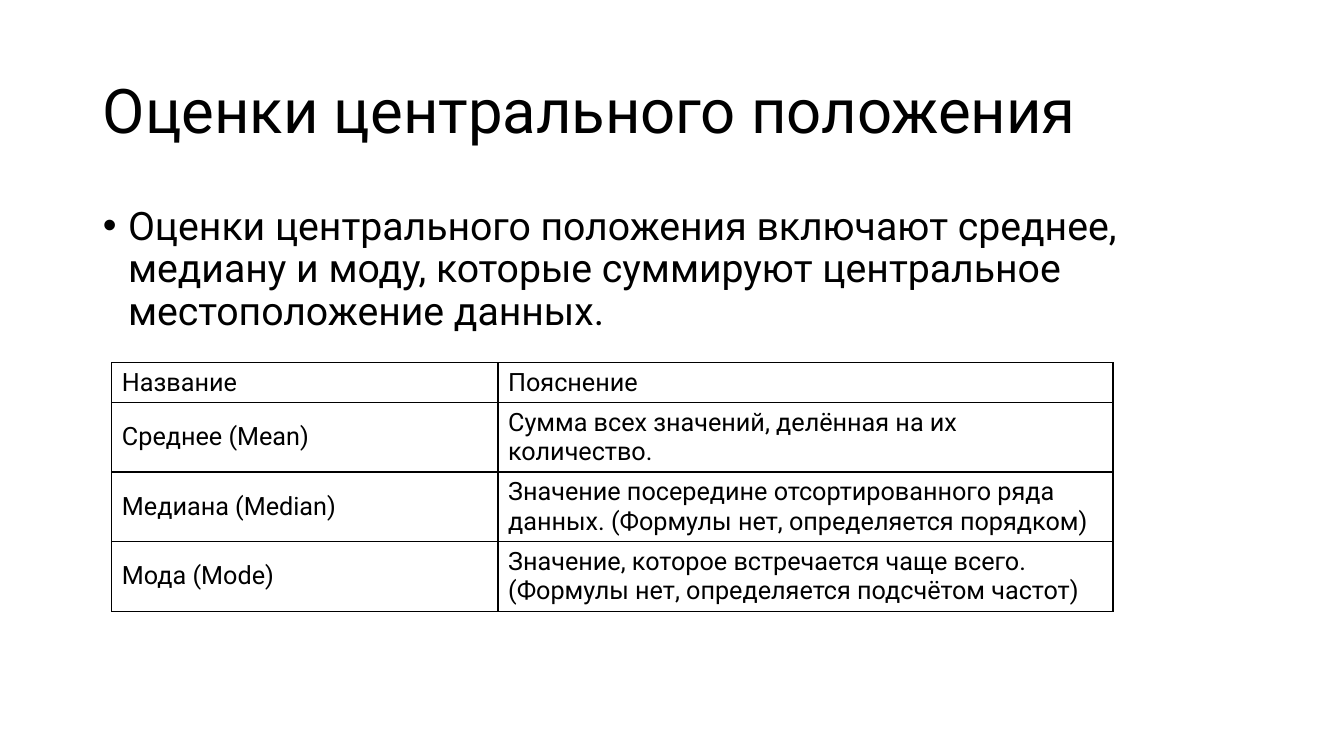
from dataclasses import dataclass

from lxml import etree
from pptx import Presentation
from pptx.dml.color import RGBColor
from pptx.enum.text import MSO_ANCHOR, MSO_AUTO_SIZE, PP_ALIGN
from pptx.oxml.ns import qn
from pptx.util import Inches, Pt

LEFT = PP_ALIGN.LEFT
TOP, MIDDLE = MSO_ANCHOR.TOP, MSO_ANCHOR.MIDDLE
NO_AUTOFIT = MSO_AUTO_SIZE.NONE

HEADING = "Оценки центрального положения"
SUMMARY = (
    "Оценки центрального положения включают среднее, медиану и моду, "
    "которые суммируют центральное местоположение данных."
)
MEASURES = [
    ("Название", "Пояснение"),
    ("Среднее (Mean)", "Сумма всех значений, делённая на их количество."),
    ("Медиана (Median)",
     "Значение посередине отсортированного ряда данных. "
     "(Формулы нет, определяется порядком)"),
    ("Мода (Mode)",
     "Значение, которое встречается чаще всего. "
     "(Формулы нет, определяется подсчётом частот)"),
]


@dataclass(frozen=True)
class Theme:
    font: str = "Roboto"
    ink: str = "000000"
    paper: str = "FFFFFF"
    title_size: int = 44
    body_size: int = 28
    table_size: int = 18
    border_width: int = 1


THEME = Theme()
SLIDE_SIZE = (13.33, 7.5)
TITLE_BOX = (0.92, 0.4, 11.5, 1.45)
BODY_BOX = (0.92, 2, 11.5, 4.76)
TABLE_ORIGIN = (1.11, 3.6)
COLUMN_WIDTHS = (3.83, 6.1)
HEADER_HEIGHT, MEASURE_HEIGHT = 0.39, 0.69
BULLET_INDENT = 0.25


def add_run(paragraph, text, size):
    run = paragraph.add_run()
    run.text = text
    run.font.name = THEME.font
    run.font.size = Pt(size)
    run.font.color.rgb = RGBColor.from_string(THEME.ink)


def fill_placeholder(placeholder, box, text, size, anchor):
    """Place the placeholder, write its text and return the paragraph."""
    placeholder.left, placeholder.top, placeholder.width, placeholder.height = map(Inches, box)
    frame = placeholder.text_frame
    frame.auto_size = NO_AUTOFIT
    frame.word_wrap = True
    frame.vertical_anchor = anchor
    paragraph = frame.paragraphs[0]
    paragraph.alignment = LEFT
    paragraph.line_spacing = 0.9
    add_run(paragraph, text, size)
    return paragraph


def add_bullet(paragraph):
    properties = paragraph._p.get_or_add_pPr()
    indent = Inches(BULLET_INDENT)
    properties.set("marL", str(indent))
    properties.set("indent", str(-indent))
    etree.SubElement(properties, qn("a:buFont"), typeface="Arial")
    etree.SubElement(properties, qn("a:buChar"), char="•")


def add_borders(cell):
    properties = cell._tc.get_or_add_tcPr()
    for side in ("a:lnL", "a:lnR", "a:lnT", "a:lnB"):
        line = etree.SubElement(properties, qn(side), w=str(Pt(THEME.border_width)))
        fill = etree.SubElement(line, qn("a:solidFill"))
        etree.SubElement(fill, qn("a:srgbClr"), val=THEME.ink)


def add_measures_table(slide):
    heights = [HEADER_HEIGHT] + [MEASURE_HEIGHT] * (len(MEASURES) - 1)
    table = slide.shapes.add_table(
        len(MEASURES), len(COLUMN_WIDTHS), *map(Inches, TABLE_ORIGIN),
        Inches(sum(COLUMN_WIDTHS)), Inches(sum(heights)),
    ).table
    table.first_row = table.horz_banding = False
    for column, width in zip(table.columns, COLUMN_WIDTHS):
        column.width = Inches(width)
    for row, height, measure in zip(table.rows, heights, MEASURES):
        row.height = Inches(height)
        for cell, text in zip(row.cells, measure):
            cell.vertical_anchor = MIDDLE
            add_borders(cell)
            cell.fill.background()
            add_run(cell.text_frame.paragraphs[0], text, THEME.table_size)


def main():
    deck = Presentation()
    deck.slide_width, deck.slide_height = map(Inches, SLIDE_SIZE)
    slide = deck.slides.add_slide(deck.slide_layouts[1])
    background = slide.background.fill
    background.solid()
    background.fore_color.rgb = RGBColor.from_string(THEME.paper)

    fill_placeholder(slide.shapes.title, TITLE_BOX, HEADING, THEME.title_size, MIDDLE)
    summary = fill_placeholder(
        slide.placeholders[1], BODY_BOX, SUMMARY, THEME.body_size, TOP)
    summary.space_before = Pt(10)
    add_bullet(summary)
    add_measures_table(slide)
    deck.save("out.pptx")


if __name__ == "__main__":
    main()
